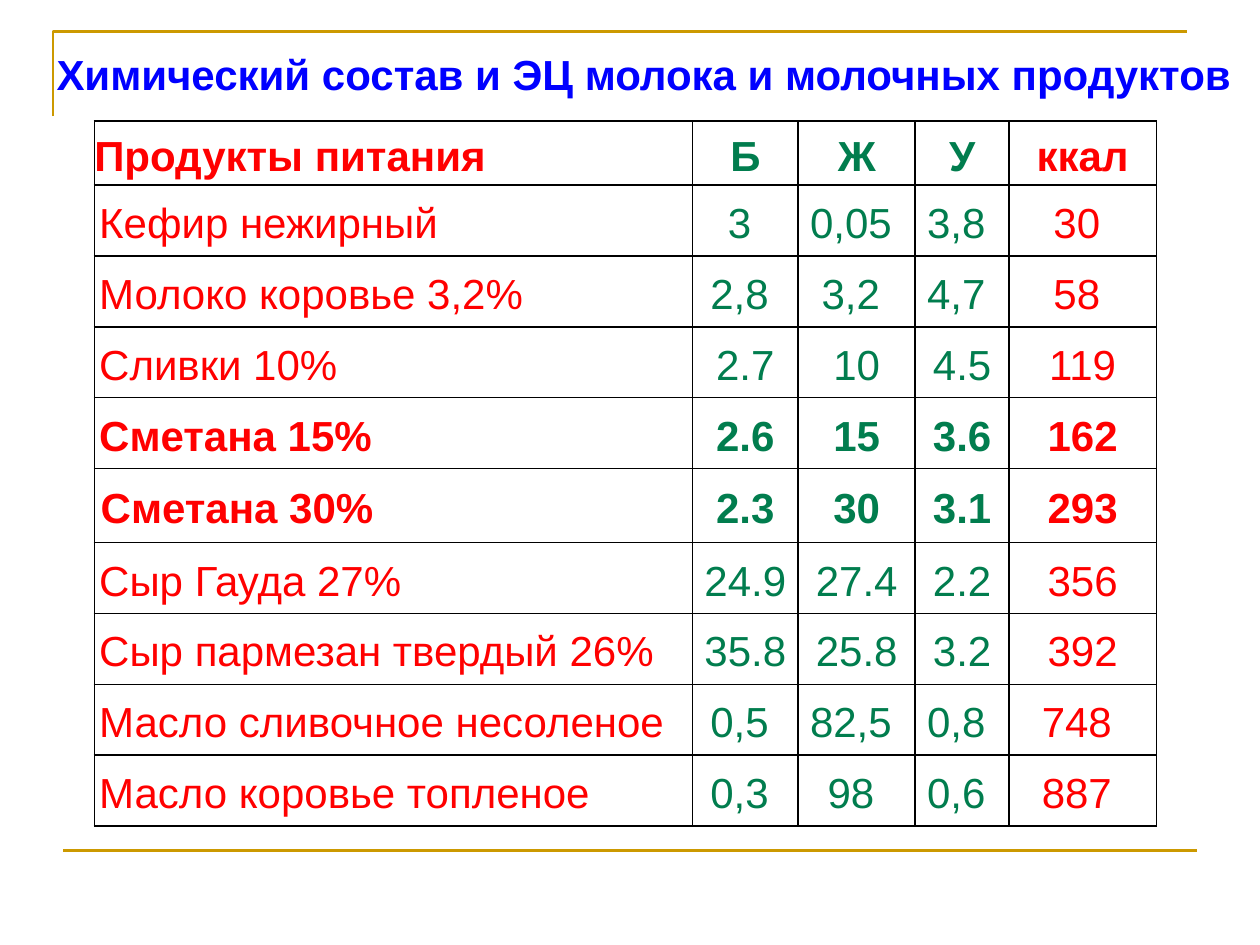
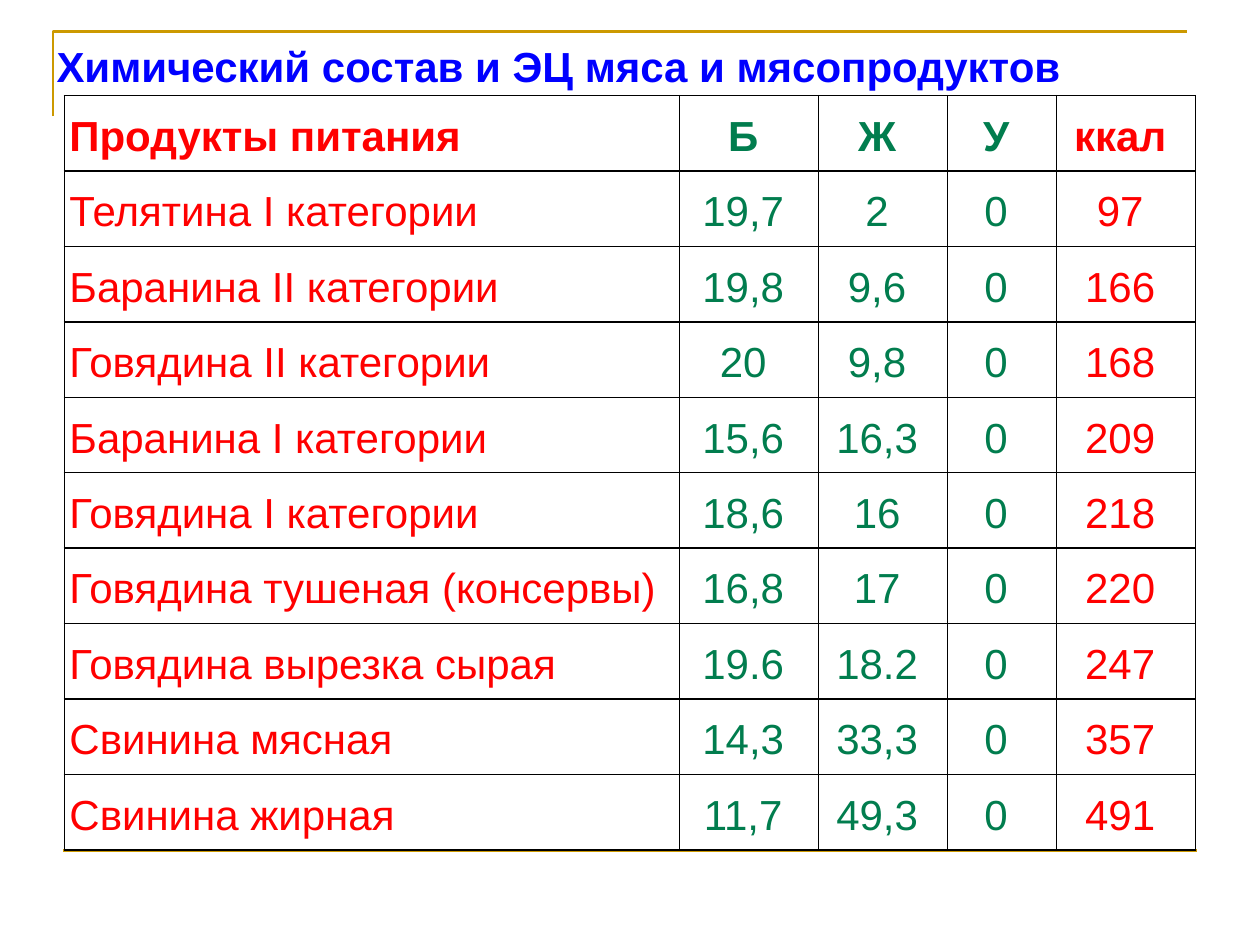
"""Two slides with tables of the composition and energy value of foods."""
from lxml import etree
from pptx import Presentation
from pptx import util as u
from pptx.dml.color import RGBColor
from pptx.enum import shapes, text
from pptx.oxml.ns import qn

FONT, SIZE = "Arial", u.Pt(24)
GOLD, BLUE, RED, GREEN, BLACK = "CC9900", "0000FF", "FF0000", "017D4E", "000000"
COLUMN_COLOURS = [RED, GREEN, GREEN, GREEN, RED]

DAIRY_TITLE = "Химический состав и ЭЦ молока и молочных продуктов"
DAIRY = [
    ("Продукты питания", "Б", "Ж", "У", "ккал"),
    ("Кефир нежирный", "3 ", "0,05 ", "3,8 ", "30 "),
    ("Молоко коровье 3,2%", "2,8 ", "3,2 ", "4,7 ", "58 "),
    ("Сливки 10%", "2.7", "10", "4.5", "119"),
    ("Сметана 15%", "2.6", "15", "3.6", "162"),
    ("Сметана 30%", "2.3", "30", "3.1", "293"),
    ("Сыр Гауда 27%", "24.9", "27.4", "2.2", "356"),
    ("Сыр пармезан твердый 26%", "35.8", "25.8", "3.2", "392"),
    ("Масло сливочное несоленое", "0,5 ", "82,5 ", "0,8 ", "748 "),
    ("Масло коровье топленое", "0,3 ", "98 ", "0,6 ", "887 "),
]
DAIRY_HEIGHTS = [1.29] + [1.41] * 4 + [1.49] + [1.41] * 4

MEAT_TITLE = "Химический состав и ЭЦ мяса и мясопродуктов"
MEAT = [
    ("Продукты питания", "Б ", "Ж ", "У ", "ккал "),
    ("Телятина I категории", "19,7 ", "2 ", "0 ", "97 "),
    ("Баранина II категории", "19,8 ", "9,6 ", "0 ", "166 "),
    ("Говядина II категории", "20 ", "9,8 ", "0 ", "168 "),
    ("Баранина I категории", "15,6 ", "16,3 ", "0 ", "209 "),
    ("Говядина I категории", "18,6 ", "16 ", "0 ", "218 "),
    ("Говядина тушеная (консервы)", "16,8 ", "17 ", "0 ", "220 "),
    ("Говядина вырезка сырая", "19.6 ", "18.2 ", "0 ", "247 "),
    ("Свинина мясная", "14,3 ", "33,3 ", "0 ", "357 "),
    ("Свинина жирная", "11,7 ", "49,3 ", "0 ", "491 "),
]
MEAT_HEIGHTS = [1.52] * len(MEAT)


def rgb(colour):
    """Turn a hex string into a colour."""
    return RGBColor.from_string(colour)


def add_run(p, words, colour, bold):
    """Add one run in the common font and size."""
    r = p.add_run()
    r.text = words
    r.font.name, r.font.size, r.font.bold = FONT, SIZE, bold
    r.font.color.rgb = rgb(colour)


def set_margins(box, inset):
    """Give a cell the same inset in cm on every side."""
    box.margin_left = box.margin_right = u.Cm(inset)
    box.margin_top = box.margin_bottom = u.Cm(inset)


def add_frame(slide):
    """Draw the gold corner at the top and the gold rule at the bottom."""
    left, top = u.Cm(1.07), u.Cm(0.64)
    builder = slide.shapes.build_freeform(left, u.Cm(2.34))
    builder.add_line_segments([(left, top), (u.Cm(23.93), top)], close=False)
    corner = builder.convert_to_shape()
    corner.shadow.inherit = False
    corner.fill.background()
    y = u.Cm(17.15)
    rule = slide.shapes.add_connector(
        shapes.MSO_CONNECTOR.STRAIGHT, u.Cm(1.27), y, u.Cm(24.13), y)
    etree.SubElement(rule.line._get_or_add_ln().getparent(), qn("a:effectLst"))
    for sp in (corner, rule):
        sp.line.color.rgb = rgb(GOLD)
        sp.line.width = u.Pt(1.5)


def add_title(slide, words, top):
    """Write the blue slide title."""
    sp = slide.shapes.add_textbox(u.Cm(0.89), u.Cm(top), u.Cm(24.51), u.Cm(1.27))
    tf = sp.text_frame
    tf.word_wrap = True
    tf.auto_size = text.MSO_AUTO_SIZE.SHAPE_TO_FIT_TEXT
    add_run(tf.paragraphs[0], words, BLUE, True)


def add_borders(cell):
    """Draw a thin black line on each side of a cell."""
    tc_pr = cell._tc.get_or_add_tcPr()
    for i, side in enumerate(("lnL", "lnR", "lnT", "lnB")):
        ln = etree.Element(qn(f"a:{side}"), w=str(u.Pt(1)))
        fill = etree.SubElement(ln, qn("a:solidFill"))
        etree.SubElement(fill, qn("a:srgbClr"), val=BLACK)
        tc_pr.insert(i, ln)


def fill_cell(cell, words, column, bold, inset, space_after):
    """Write and style one table cell."""
    cell.fill.background()
    add_borders(cell)
    set_margins(cell, inset)
    cell.vertical_anchor = text.MSO_ANCHOR.MIDDLE
    p = cell.text_frame.paragraphs[0]
    p.alignment = text.PP_ALIGN.CENTER if column else text.PP_ALIGN.LEFT
    p.line_spacing = 1.15
    p.space_after = u.Pt(space_after)
    add_run(p, words, COLUMN_COLOURS[column], bold)


def add_food_table(slide, rows, left, top, widths, heights, bold_rows,
                   tight_rows=(), roomy_rows=()):
    """Add a food table; tight rows have no insets, roomy rows larger ones."""
    frame = slide.shapes.add_table(
        len(rows), len(widths), u.Cm(left), u.Cm(top),
        u.Cm(sum(widths)), u.Cm(sum(heights)))
    table = frame.table
    table.first_row = table.horz_banding = False
    for column, width in zip(table.columns, widths):
        column.width = u.Cm(width)
    for i, (row, height) in enumerate(zip(rows, heights)):
        table.rows[i].height = u.Cm(height)
        tight = i in tight_rows
        label_inset, value_inset = (0.13, 0.15) if i in roomy_rows else (0.1, 0.13)
        for j, words in enumerate(row):
            inset = 0 if tight else value_inset if j else label_inset
            fill_cell(table.cell(i, j), words, j, i in bold_rows,
                      inset, 0 if tight else 10)


def add_slide(prs, title, title_top):
    """Add a blank slide with the frame and a title."""
    slide = prs.slides.add_slide(prs.slide_layouts[6])
    add_frame(slide)
    add_title(slide, title, title_top)
    return slide


def main():
    """Build and save the presentation."""
    prs = Presentation()
    prs.slide_width, prs.slide_height = u.Cm(25.4), u.Cm(19.05)
    dairy = add_slide(prs, DAIRY_TITLE, 0.85)
    add_food_table(dairy, DAIRY, 1.9, 2.44, [12.06, 2.13, 2.36, 1.89, 2.97],
                   DAIRY_HEIGHTS, bold_rows=(0, 4, 5), tight_rows=(0,),
                   roomy_rows=(5,))
    meat = add_slide(prs, MEAT_TITLE, 0.69)
    add_food_table(meat, MEAT, 1.3, 1.93, [12.4, 2.8, 2.6, 2.2, 2.8],
                   MEAT_HEIGHTS, bold_rows=(0,))
    prs.save("out.pptx")


if __name__ == "__main__":
    main()
